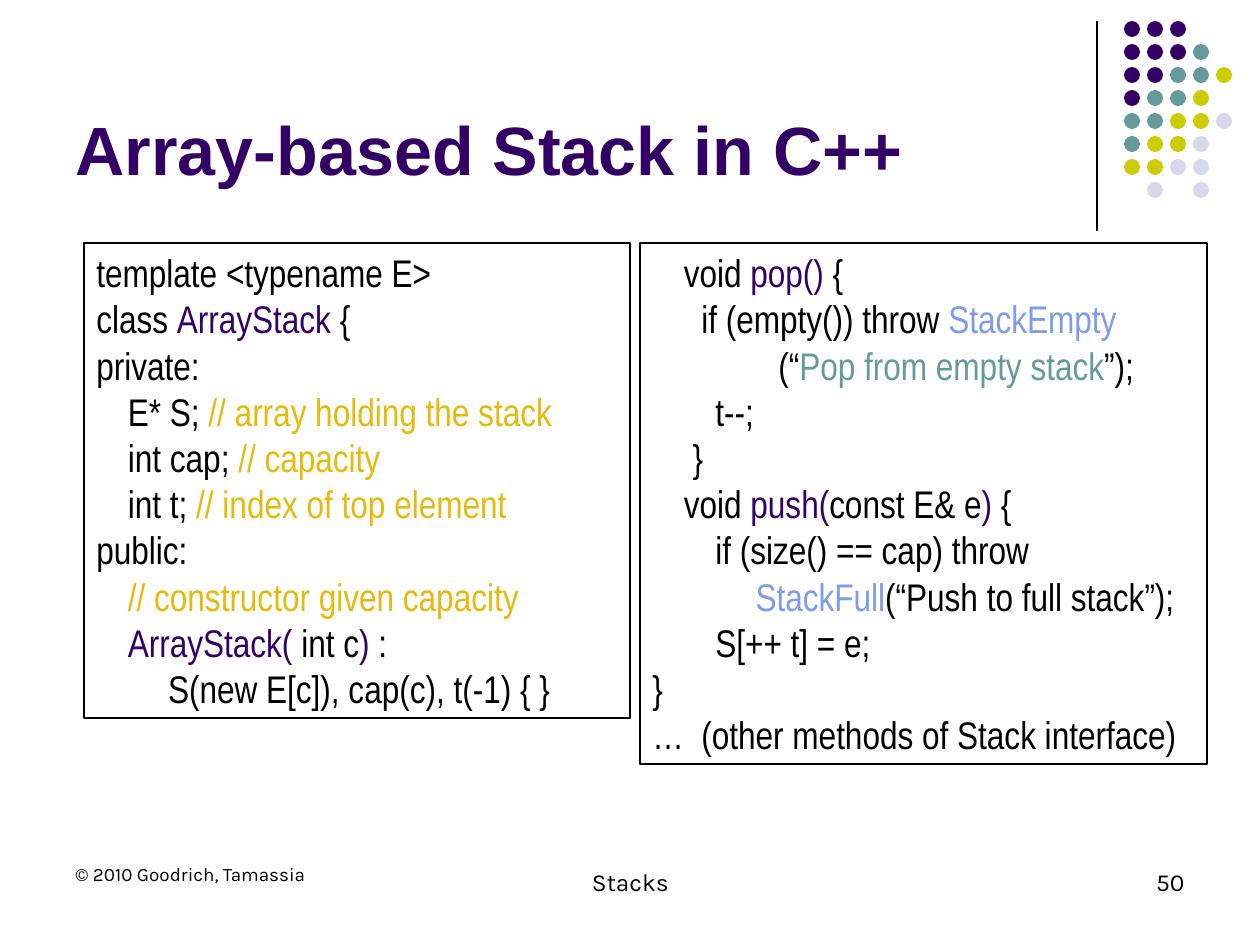
from dataclasses import dataclass

from lxml import etree
from pptx import Presentation
from pptx.dml.color import RGBColor
from pptx.enum.shapes import MSO_CONNECTOR, MSO_SHAPE
from pptx.enum.text import MSO_ANCHOR, MSO_AUTO_SIZE, PP_ALIGN
from pptx.oxml.ns import qn
from pptx.util import Inches, Pt

STRAIGHT = MSO_CONNECTOR.STRAIGHT
OVAL, RECT = MSO_SHAPE.OVAL, MSO_SHAPE.RECTANGLE
TOP, BOTTOM = MSO_ANCHOR.TOP, MSO_ANCHOR.BOTTOM
NO_FIT, GROW = MSO_AUTO_SIZE.NONE, MSO_AUTO_SIZE.SHAPE_TO_FIT_TEXT
LEFT, CENTER, RIGHT = PP_ALIGN.LEFT, PP_ALIGN.CENTER, PP_ALIGN.RIGHT
TITLE_ONLY = 5
EMU_PER_PX = 914400 / 126

DOT_ROWS = ["PPP", "PPPT", "PPTTY", "PTTY", "TTYYL", "TYYL", "YYLL", " L L"]

LEFT_CODE = [
    [("template <typename E> \nclass ", "ink"), ("ArrayStack", "P"), (" {\nprivate:", "ink")],
    [("\tE* S;", "ink"), (" // array holding the stack\n\t", "note"),
     ("int cap;", "ink"), (" // capacity", "note")],
    [("\tint t;", "ink"), (" // index of top element", "note")],
    [("public:", "ink")],
    [("\t// constructor given capacity\n\t", "note"), ("ArrayStack( ", "P"), ("int c", "ink"),
     (") ", "P"), (":\n\t\t S(new E[c]), cap(c), t(-1) { }", "ink")],
]

RIGHT_CODE = [
    [("\tvoid ", "ink"), ("pop()", "P"), (" {\n\t  if (empty()) throw ", "ink"),
     ("StackEmpty\n\t\t\t\t", "error"), ("(“", "ink"), ("Pop from empty stack", "T"),
     ("”);\n\t\tt--;\n\t }", "ink")],
    [("\tvoid ", "ink"), ("push(", "P"), ("const E& e", "ink"), (")", "P"), (" {", "ink")],
    [("\t\tif (size() == cap) throw", "ink")],
    [("\t\t\t", "ink"), (" StackFull", "error"), ("(“Push to full stack”);", "ink")],
    [("\t\tS[++ t] = e;", "ink")],
    [("}", "ink")],
    [("…  (other methods of Stack interface)", "ink")],
]


@dataclass(frozen=True)
class Theme:
    """Colours, fonts and type sizes of the slide."""

    colors = {"ink": "000000", "P": "330066", "T": "669999", "Y": "CCCC00",
              "L": "D8D8EC", "note": "E4BB0C", "error": "7E9CE8"}
    title = {"name": "Arial", "size": Pt(39), "bold": True}
    code = {"name": "Arial Narrow", "size": Pt(22), "bold": False}
    footer = {"name": "Karla", "size": Pt(14), "bold": False}
    credit = {"name": "Karla", "size": Pt(10.8), "bold": False}

    def rgb(self, key):
        """Return the colour stored under a key."""
        return RGBColor.from_string(self.colors[key])


def px(value):
    """Turn pixels into EMU."""
    return round(value * EMU_PER_PX)


def set_all(target, values):
    """Set attributes from a dict."""
    for name, value in values.items():
        setattr(target, name, value)


class Deck:
    """Draws styled elements on the current slide."""

    def __init__(self, prs, theme):
        """Add a slide with a title."""
        self.theme = theme
        self.s = prs.slides.add_slide(prs.slide_layouts[TITLE_ONLY])

    def fill_text(self, sp, paras, style, align=LEFT, anchor=TOP, fit=NO_FIT, spacing=None,
                  tab=None):
        """Fill a shape with paragraphs of coloured runs."""
        tf = sp.text_frame
        set_all(tf, {"word_wrap": True, "vertical_anchor": anchor, "auto_size": fit})
        for i, runs in enumerate(paras):
            p = tf.add_paragraph() if i else tf.paragraphs[0]
            set_all(p, {"alignment": align, "line_spacing": spacing})
            if tab:
                tabs = etree.SubElement(p._p.get_or_add_pPr(), qn("a:tabLst"))
                for n in range(1, 8):
                    etree.SubElement(tabs, qn("a:tab"), pos=str(n * tab), algn="l")
            for text, color in runs:
                for j, part in enumerate(text.split("\n")):
                    if j:
                        p.add_line_break()
                    r = p.add_run()
                    r.text = part
                    set_all(r.font, style)
                    r.font.color.rgb = self.theme.rgb(color)

    def title(self, text, *box):
        """Place the slide title."""
        sp = self.s.shapes.title
        set_all(sp, dict(zip(("left", "top", "width", "height"), map(px, box))))
        self.fill_text(sp, [[(text, "P")]], self.theme.title, anchor=BOTTOM)

    def text(self, text, style, align, *box, spacing=None):
        """Add a one-line text box."""
        sp = self.s.shapes.add_textbox(*map(px, box))
        self.fill_text(sp, [[(text, "ink")]], style, align, spacing=spacing)

    def code(self, paras, *box):
        """Add a framed code listing."""
        sp = self.s.shapes.add_shape(RECT, *map(px, box))
        sp.shadow.inherit = False
        sp.fill.background()
        sp.line.width = Pt(0.75)
        sp.line.color.rgb = self.theme.rgb("ink")
        self.fill_text(sp, paras, self.theme.code, fit=GROW, tab=Inches(0.25))

    def dot(self, color, *box):
        """Add a filled dot."""
        sp = self.s.shapes.add_shape(OVAL, *map(px, box))
        sp.shadow.inherit = False
        sp.fill.solid()
        sp.fill.fore_color.rgb = self.theme.rgb(color)
        sp.line.fill.background()

    def line(self, *ends):
        """Add a thin straight line."""
        cn = self.s.shapes.add_connector(STRAIGHT, *map(px, ends))
        cn.line.width = Pt(0.75)
        cn.line.color.rgb = self.theme.rgb("ink")
        etree.SubElement(cn._element.spPr, qn("a:effectLst"))


def main():
    """Build and save the slide."""
    prs = Presentation()
    set_all(prs, {"slide_width": Inches(10), "slide_height": Inches(7.5)})
    theme = Theme()
    deck = Deck(prs, theme)

    deck.line(1097, 21, 1097, 231)
    for row, colors in enumerate(DOT_ROWS):
        for col, color in enumerate(colors):
            if color != " ":
                deck.dot(color, 1124 + 23 * col, 21 + 23 * row, 16, 16)

    deck.title("Array-based Stack in C++", 63, 16, 1040, 179)
    deck.code(LEFT_CODE, 84, 243, 546, 475)
    deck.code(RIGHT_CODE, 640, 243, 567, 521)
    deck.text("© 2010 Goodrich, Tamassia", theme.credit, LEFT, 63, 861, 294, 63, spacing=0.8)
    deck.text("Stacks", theme.footer, CENTER, 431, 861, 399, 63)
    deck.text("50", theme.footer, RIGHT, 903, 861, 294, 63)
    prs.save("out.pptx")


if __name__ == "__main__":
    main()
